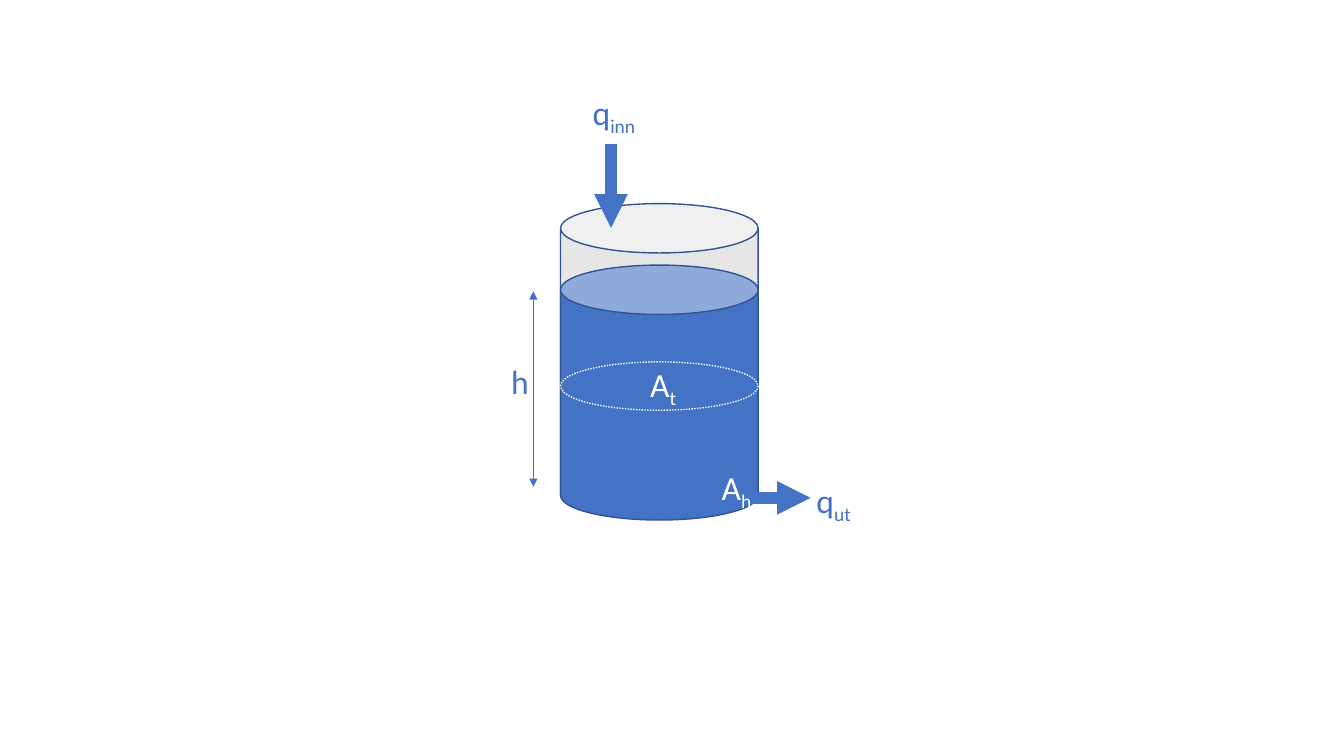
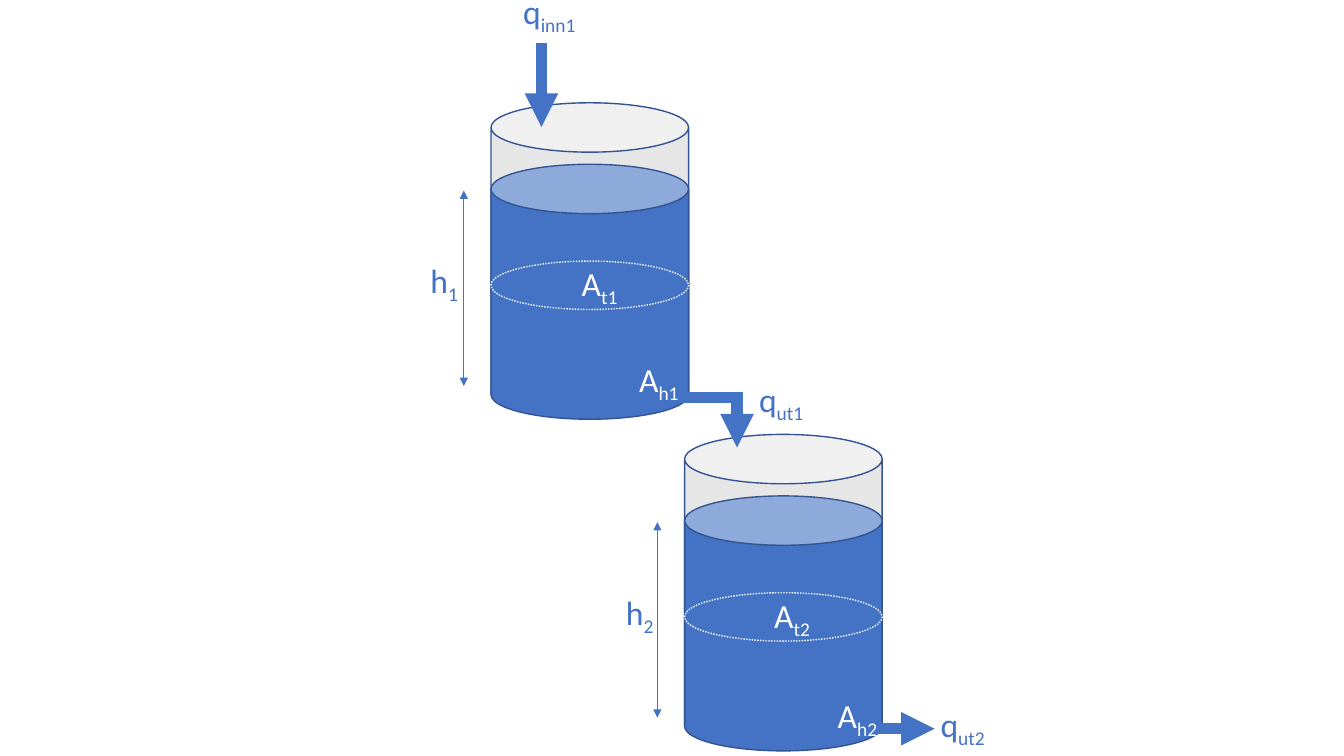
from lxml import etree
from pptx import Presentation
from pptx.dml.color import RGBColor
from pptx.enum.dml import MSO_LINE
from pptx.enum.shapes import MSO_CONNECTOR, MSO_SHAPE
from pptx.enum.text import MSO_AUTO_SIZE
from pptx.oxml.ns import qn
from pptx.util import Inches, Pt

CAN, OVAL = MSO_SHAPE.CAN, MSO_SHAPE.OVAL
STRAIGHT = MSO_CONNECTOR.STRAIGHT
DOTTED = MSO_LINE.ROUND_DOT
FIT_TEXT = MSO_AUTO_SIZE.SHAPE_TO_FIT_TEXT

COLORS = {"water": "4472C4", "edge": "325491", "glass": "E7E6E6", "white": "FFFFFF"}
LABEL_FONT = {"name": "Calibri", "size": Pt(24)}
LABEL_FRAME = {"word_wrap": False, "auto_size": FIT_TEXT}

TANK_W, TANK_H = 1.96, 3.13
WATER_TOP, WATER_H = 0.61, 2.53
SECTION_TOP, SECTION_H = 1.57, 0.48
LABEL_H = 0.5
PIPE_PT, GAUGE_PT = 8, 0.5


def color(name):
    return RGBColor.from_string(COLORS[name])


def set_attributes(target, values):
    for name, value in values.items():
        setattr(target, name, value)


def add_body(shapes, kind, x, y, w, h, fill=None, edge="edge"):
    body = shapes.add_shape(kind, Inches(x), Inches(y), Inches(w), Inches(h))
    body.shadow.inherit = False
    if fill:
        body.fill.solid()
        body.fill.fore_color.rgb = color(fill)
    else:
        body.fill.background()
    body.line.color.rgb = color(edge)
    body.line.width = Pt(1)
    return body


def add_flow(shapes, x1, y1, x2, y2, width=PIPE_PT, ends=("tailEnd",)):
    flow = shapes.add_connector(STRAIGHT, Inches(x1), Inches(y1), Inches(x2), Inches(y2))
    flow.line.color.rgb = color("water")
    flow.line.width = Pt(width)
    outline = flow.line._get_or_add_ln()
    for end in ends:
        etree.SubElement(outline, qn(f"a:{end}"), type="triangle")
    etree.SubElement(flow._element.spPr, qn("a:effectLst"))


def add_label(shapes, x, y, width, symbol, subscript, ink="water"):
    label = shapes.add_textbox(Inches(x), Inches(y), Inches(width), Inches(LABEL_H))
    set_attributes(label.text_frame, LABEL_FRAME)
    paragraph = label.text_frame.paragraphs[0]
    for text, baseline in ((symbol, None), (subscript, "-25000")):
        if not text:
            continue
        run = paragraph.add_run()
        run.text = text
        set_attributes(run.font, LABEL_FONT)
        run.font.color.rgb = color(ink)
        if baseline:
            run._r.get_or_add_rPr().set("baseline", baseline)


def add_tank(slide, x, y, labels, inflow=(0.5, -0.59, 0.24), outflow_ends=("tailEnd",)):
    """Tank with its top left corner at x, y; labels and inflow are relative to it."""
    shapes = slide.shapes.add_group_shape().shapes

    # Height gauge
    add_flow(shapes, x - 0.27, y + 0.87, x - 0.27, y + 2.81, GAUGE_PT, ("headEnd", "tailEnd"))

    # Glass, water and cross-section
    add_body(shapes, CAN, x, y, TANK_W, TANK_H, "glass")
    add_body(shapes, CAN, x, y + WATER_TOP, TANK_W, WATER_H, "water")
    section = add_body(shapes, OVAL, x, y + SECTION_TOP, TANK_W, SECTION_H, edge="white")
    section.line.dash_style = DOTTED

    # Inflow and outflow
    inflow_x, start, end = inflow
    add_flow(shapes, x + inflow_x, y + start, x + inflow_x, y + end)
    add_flow(shapes, x + 1.74, y + 2.92, x + 2.48, y + 2.92, ends=outflow_ends)

    # Symbols
    for dx, dy, width, *content in labels:
        add_label(shapes, x + dx, y + dy, width, *content)


def build_single_tank(slide):
    add_tank(slide, 5.56, 2.02, [
        (-0.59, 1.51, 0.38, "h", ""),
        (0.22, -1.16, 0.66, "q", "inn"),
        (2.44, 2.69, 0.57, "q", "ut"),
        (0.79, 1.54, 0.46, "A", "t", "white"),
        (1.5, 2.56, 0.51, "A", "h", "white"),
    ])


def build_tank_cascade(slide):
    # Upper tank, whose outlet pipe bends down into the lower tank
    add_tank(slide, 4.87, 1.02, [
        (-0.7, 1.51, 0.49, "h", "1"),
        (0.22, -1.16, 0.78, "q", "inn1"),
        (2.56, 2.69, 0.69, "q", "ut1"),
        (0.8, 1.54, 0.58, "A", "t1", "white"),
        (1.37, 2.49, 0.63, "A", "h1", "white"),
    ], outflow_ends=())

    # Lower tank
    add_tank(slide, 6.79, 4.31, [
        (-0.68, 1.51, 0.49, "h", "2"),
        (2.44, 2.62, 0.69, "q", "ut2"),
        (0.79, 1.54, 0.58, "A", "t2", "white"),
        (1.42, 2.53, 0.63, "A", "h2", "white"),
    ], inflow=(0.52, -0.42, 0.13))


def main():
    deck = Presentation()
    deck.slide_width, deck.slide_height = Inches(13.33), Inches(7.5)
    blank = deck.slide_layouts[6]
    for build in (build_single_tank, build_tank_cascade):
        build(deck.slides.add_slide(blank))
    deck.save("out.pptx")


if __name__ == "__main__":
    main()
